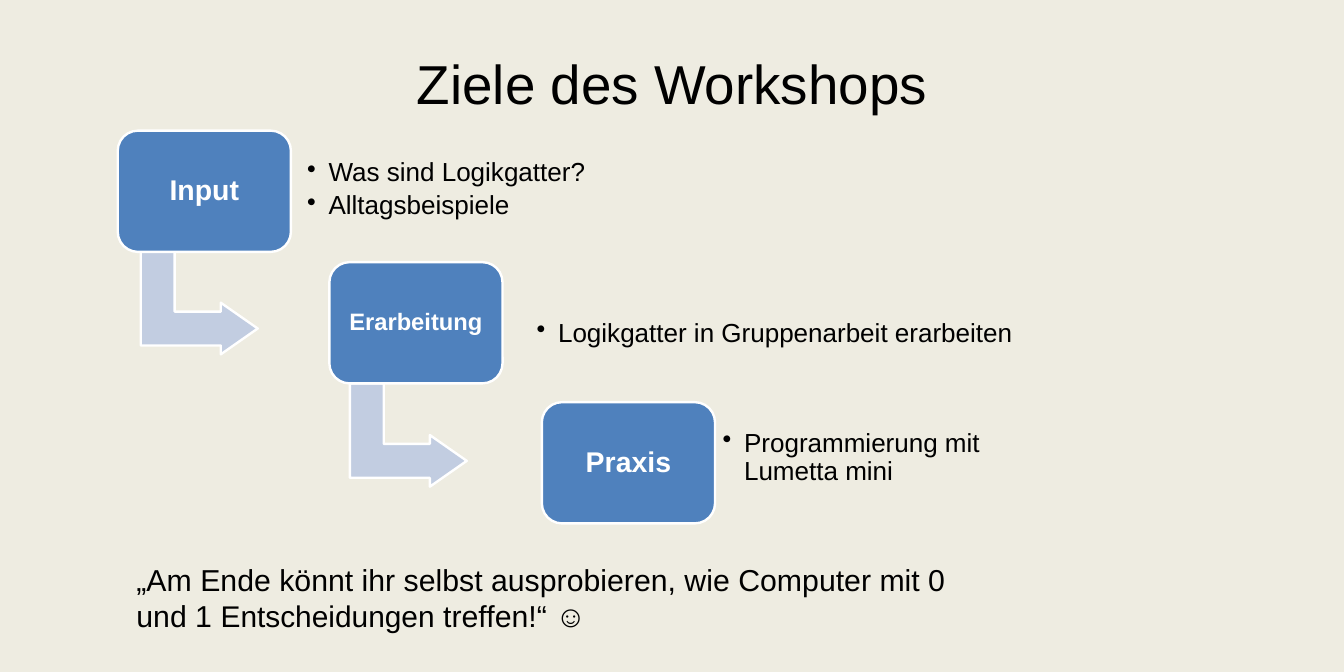
from lxml import etree
from pptx import Presentation
from pptx.dml.color import RGBColor
from pptx.enum.shapes import MSO_SHAPE
from pptx.enum.text import MSO_ANCHOR, MSO_AUTO_SIZE, PP_ALIGN
from pptx.oxml.ns import qn
from pptx.util import Inches, Pt

ROUNDED = MSO_SHAPE.ROUNDED_RECTANGLE
BENT_ARROW = MSO_SHAPE.BENT_UP_ARROW
MIDDLE = MSO_ANCHOR.MIDDLE
CENTER = PP_ALIGN.CENTER
GROW = MSO_AUTO_SIZE.SHAPE_TO_FIT_TEXT

BACKGROUND = RGBColor(0xEE, 0xEC, 0xE1)
BLUE = RGBColor(0x4F, 0x81, 0xBD)
PALE_BLUE = RGBColor(0xC2, 0xCD, 0xE1)
WHITE = RGBColor(0xFF, 0xFF, 0xFF)
BLACK = RGBColor(0x00, 0x00, 0x00)

STEP_SIZE = (2.03, 1.42)
ARROW_SIZE = (1.21, 1.37)
ARROW_ADJUSTMENTS = (0.328, 0.25, 0.358)

# Label, label size, left and top of the step; frame and lines of its bullets
STEPS = [
    ("Input", 24, (1.38, 1.53), (3.51, 1.65, 4.75, 1.15),
     ["Was sind Logikgatter?", "Alltagsbeispiele"]),
    ("Erarbeitung", 20, (3.86, 3.07), (6.2, 3.34, 6.06, 1.15),
     ["Logikgatter in Gruppenarbeit erarbeiten"]),
    ("Praxis", 24, (6.35, 4.71), (8.38, 4.79, 4.3, 1.15),
     ["Programmierung mit Lumetta mini"]),
]
ARROWS = [(1.73, 2.86), (4.18, 4.41)]
NOTE = [
    ("„Am Ende könnt ihr selbst ausprobieren, wie Computer mit 0 und 1 ", 25.5),
    ("Entscheidungen", 25.2),
    (" treffen!“ ☺", 25.5),
]


def apply_format(target, values):
    for name, value in values.items():
        setattr(target, name, value)


def add_span(para, text, size, color=BLACK, bold=False):
    span = para.add_run()
    span.text = text
    apply_format(span.font, {"name": "Arial", "size": Pt(size), "bold": bold})
    span.font.color.rgb = color


def format_frame(frame, inset):
    apply_format(frame, {
        "word_wrap": True, "vertical_anchor": MIDDLE,
        "margin_left": Inches(inset), "margin_right": Inches(inset),
        "margin_top": Inches(inset), "margin_bottom": Inches(inset),
    })


def add_filled_shape(slide, kind, position, size, fill):
    shape = slide.shapes.add_shape(kind, *map(Inches, position + size))
    shape.shadow.inherit = False
    shape.fill.solid()
    shape.fill.fore_color.rgb = fill
    shape.line.color.rgb = WHITE
    shape.line.width = Pt(2)
    return shape


def add_arrow(slide, position):
    arrow = add_filled_shape(slide, BENT_ARROW, position, ARROW_SIZE, PALE_BLUE)
    arrow.rotation = 90
    for index, value in enumerate(ARROW_ADJUSTMENTS):
        arrow.adjustments[index] = value


def add_step(slide, label, size, position):
    step = add_filled_shape(slide, ROUNDED, position, STEP_SIZE, BLUE)
    format_frame(step.text_frame, 0.1 if size > 20 else 0.08)
    para = step.text_frame.paragraphs[0]
    apply_format(para, {"alignment": CENTER, "line_spacing": 0.9})
    add_span(para, label, size, WHITE, bold=True)


def add_bullets(slide, bounds, lines):
    frame = slide.shapes.add_textbox(*map(Inches, bounds)).text_frame
    format_frame(frame, 0.09)
    for index, line in enumerate(lines):
        para = frame.add_paragraph() if index else frame.paragraphs[0]
        apply_format(para, {"line_spacing": 0.9, "space_after": Pt(4)})
        properties = para._p.get_or_add_pPr()
        properties.set("marL", str(Inches(0.25)))
        properties.set("indent", str(Inches(-0.25)))
        etree.SubElement(properties, qn("a:buChar")).set("char", "•")
        add_span(para, line, 22)


def add_title(slide, text):
    title = slide.shapes.title
    apply_format(title, {
        "left": Inches(0.79), "top": Inches(0.31),
        "width": Inches(14.17), "height": Inches(1.31),
    })
    title.text_frame.vertical_anchor = MIDDLE
    para = title.text_frame.paragraphs[0]
    para.alignment = CENTER
    add_span(para, text, 46.2)


def add_note(slide):
    box = slide.shapes.add_textbox(*map(Inches, (1.5, 6.52, 9.95, 0.96)))
    apply_format(box.text_frame, {"word_wrap": True, "auto_size": GROW})
    for text, size in NOTE:
        add_span(box.text_frame.paragraphs[0], text, size)


def main():
    deck = Presentation()
    apply_format(deck, {"slide_width": Inches(15.75), "slide_height": Inches(7.87)})
    slide = deck.slides.add_slide(deck.slide_layouts[5])
    slide.background.fill.solid()
    slide.background.fill.fore_color.rgb = BACKGROUND

    # Title and closing sentence
    add_title(slide, "Ziele des Workshops")
    add_note(slide)

    # Staircase of steps, arrows behind
    for position in ARROWS:
        add_arrow(slide, position)
    for label, size, position, bounds, lines in STEPS:
        add_step(slide, label, size, position)
        add_bullets(slide, bounds, lines)

    deck.save("out.pptx")


if __name__ == "__main__":
    main()
